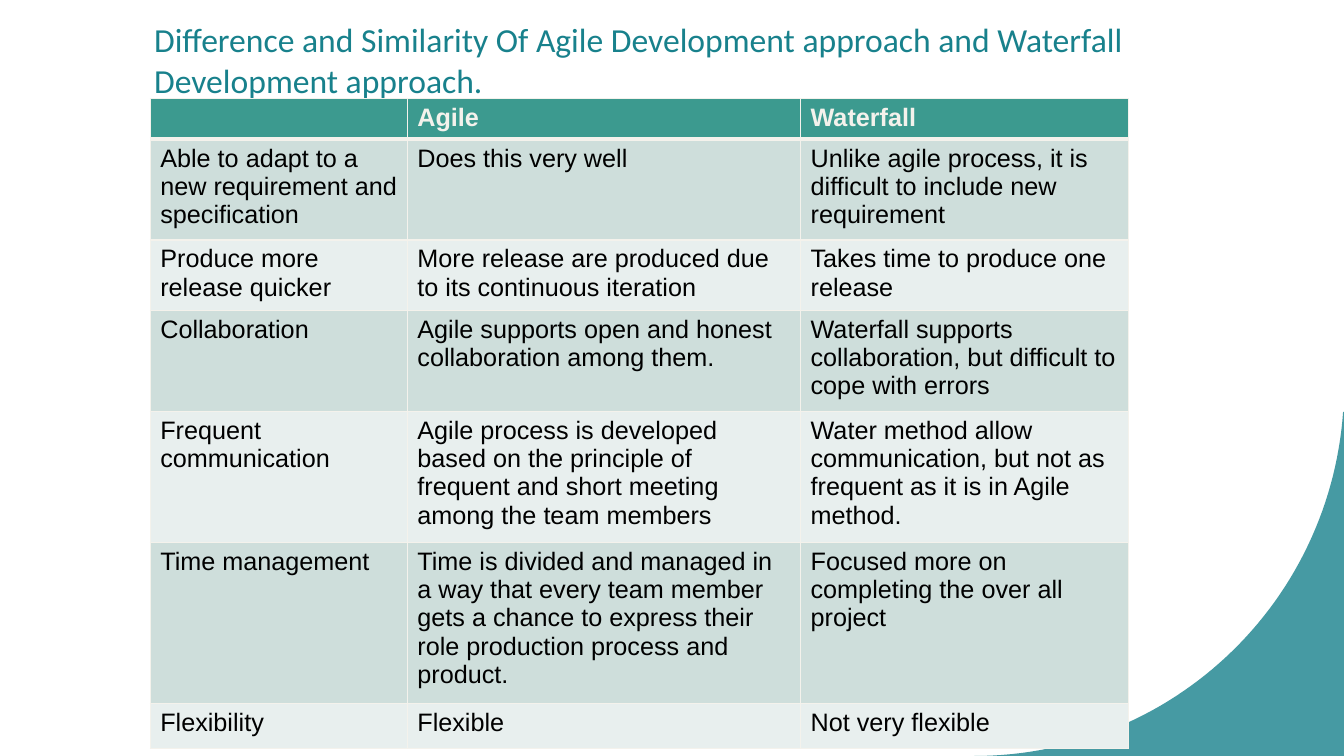
import math

import pptx
import pptx.dml.color
import pptx.enum.text
import pptx.oxml
import pptx.oxml.ns
import pptx.util

TEAL, GREEN, CREAM, BLACK = "18818C", "3C9A8F", "F4F2EC", "000000"
BANDS = ["CEDEDB", "E8EFEE"]

TITLE = ("Difference and Similarity Of Agile Development approach "
         "and Waterfall Development approach.")
COMPARISON = [
    ("", "Agile", "Waterfall"),
    ("Able to adapt to a new requirement and specification",
     "Does this very well",
     "Unlike agile process, it is difficult to include new requirement"),
    ("Produce more release quicker",
     "More release are produced due to its continuous iteration",
     "Takes time to produce one release"),
    ("Collaboration",
     "Agile supports open and honest collaboration among them.",
     "Waterfall supports collaboration, but difficult to cope with errors"),
    ("Frequent communication",
     "Agile process is developed based on the principle of frequent and "
     "short meeting among the team members",
     "Water method allow communication, but not as frequent as it is in "
     "Agile method."),
    ("Time management",
     "Time is divided and managed in a way that every team member gets a "
     "chance to express their role production process and product.",
     "Focused more on completing the over all project"),
    ("Flexibility", "Flexible", "Not very flexible"),
]
COLUMN_WIDTHS = [19.13, 29.26, 24.38]
ROW_HEIGHTS = [4.93, 12.8, 8.93, 12.53, 16.67, 20, 5.87]


def rgb(value):
    return pptx.dml.color.RGBColor.from_string(value)


def drawing_xml(body):
    head, tail = body.split(">", 1) if ">" in body else (body, "")
    space = pptx.oxml.ns.nsdecls("a")
    if head.endswith("/"):
        return pptx.oxml.parse_xml(f"{head[:-1]} {space}/>{tail}")
    return pptx.oxml.parse_xml(f"{head} {space}>{tail}")


class SlideBuilder:
    """Draws on one slide; lengths are percentages of its width and height."""

    def __init__(self, deck):
        self.deck = deck
        self.slide = deck.slides.add_slide(deck.slide_layouts[6])

    def x(self, share):
        return round(self.deck.slide_width * share / 100)

    def y(self, share):
        return round(self.deck.slide_height * share / 100)

    def style(self, paragraph, font, size, color, bold=False):
        for run in paragraph.runs:
            run.font.name = font
            run.font.size = pptx.util.Pt(size)
            run.font.bold = bold
            run.font.color.rgb = rgb(color)

    def corner(self, center_x, center_y, color, opacity, steps=60):
        """Fill the bottom right corner outside a quarter ellipse."""
        start = math.radians(4)
        angles = [start + (math.pi / 2 - start) * i / steps
                  for i in range(steps + 1)]
        arc = [(self.x(center_x + (100 - center_x) * math.cos(angle)),
                self.y(center_y + (100 - center_y) * math.sin(angle)))
               for angle in angles]
        outline = self.slide.shapes.build_freeform(self.x(100), self.y(100))
        outline.add_line_segments([(self.x(100), arc[0][1])] + arc)
        shape = outline.convert_to_shape()
        shape.shadow.inherit = False
        shape.line.fill.background()
        shape.fill.solid()
        shape.fill.fore_color.rgb = rgb(color)
        tint = shape.fill._xPr.find(".//" + pptx.oxml.ns.qn("a:srgbClr"))
        tint.append(drawing_xml(f'<a:alpha val="{opacity * 1000}"/>'))

    def title(self, text, left, top, width, height):
        box = self.slide.shapes.add_textbox(
            self.x(left), self.y(top), self.x(width), self.y(height))
        frame = box.text_frame
        frame.word_wrap = True
        frame.vertical_anchor = pptx.enum.text.MSO_ANCHOR.MIDDLE
        frame.text = text
        self.style(frame.paragraphs[0], "Calibri", 24, TEAL)

    def border(self, cell, bottom):
        properties = cell._tc.get_or_add_tcPr()
        for side, points in (("L", 1), ("R", 1), ("T", 1), ("B", bottom)):
            properties.append(drawing_xml(
                f'<a:ln{side} w="{pptx.util.Pt(points)}"><a:solidFill>'
                f'<a:srgbClr val="{CREAM}"/></a:solidFill></a:ln{side}>'))

    def table(self, rows, left, top, widths, heights):
        table = self.slide.shapes.add_table(
            len(rows), len(widths), self.x(left), self.y(top),
            self.x(sum(widths)), self.y(sum(heights))).table
        for column, width in zip(table.columns, widths):
            column.width = self.x(width)
        for index, (row, height) in enumerate(zip(table.rows, heights)):
            row.height = self.y(height)
            header = index == 0
            for cell, text in zip(row.cells, rows[index]):
                self.border(cell, 3 if header else 1)
                cell.fill.solid()
                cell.fill.fore_color.rgb = rgb(
                    GREEN if header else BANDS[(index - 1) % 2])
                cell.text_frame.text = text
                self.style(cell.text_frame.paragraphs[0], "Arial", 18,
                           CREAM if header else BLACK, header)


def main():
    deck = pptx.Presentation()
    deck.slide_width = pptx.util.Inches(13.33)
    deck.slide_height = pptx.util.Inches(7.5)
    builder = SlideBuilder(deck)
    builder.corner(72.5, 51.07, TEAL, 80)
    builder.title(TITLE, 10.73, 1.73, 78.1, 12.27)
    builder.table(COMPARISON, 11.18, 13.07, COLUMN_WIDTHS, ROW_HEIGHTS)
    deck.save("out.pptx")


if __name__ == "__main__":
    main()
